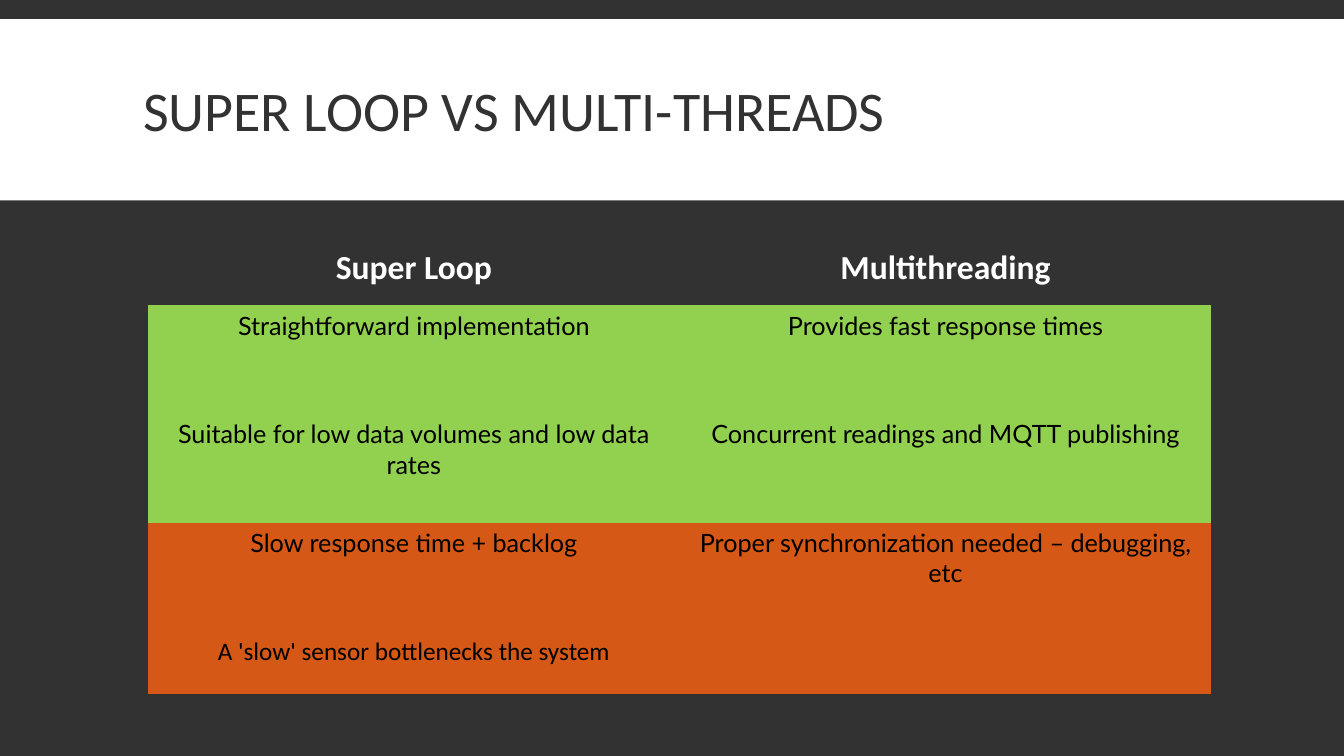
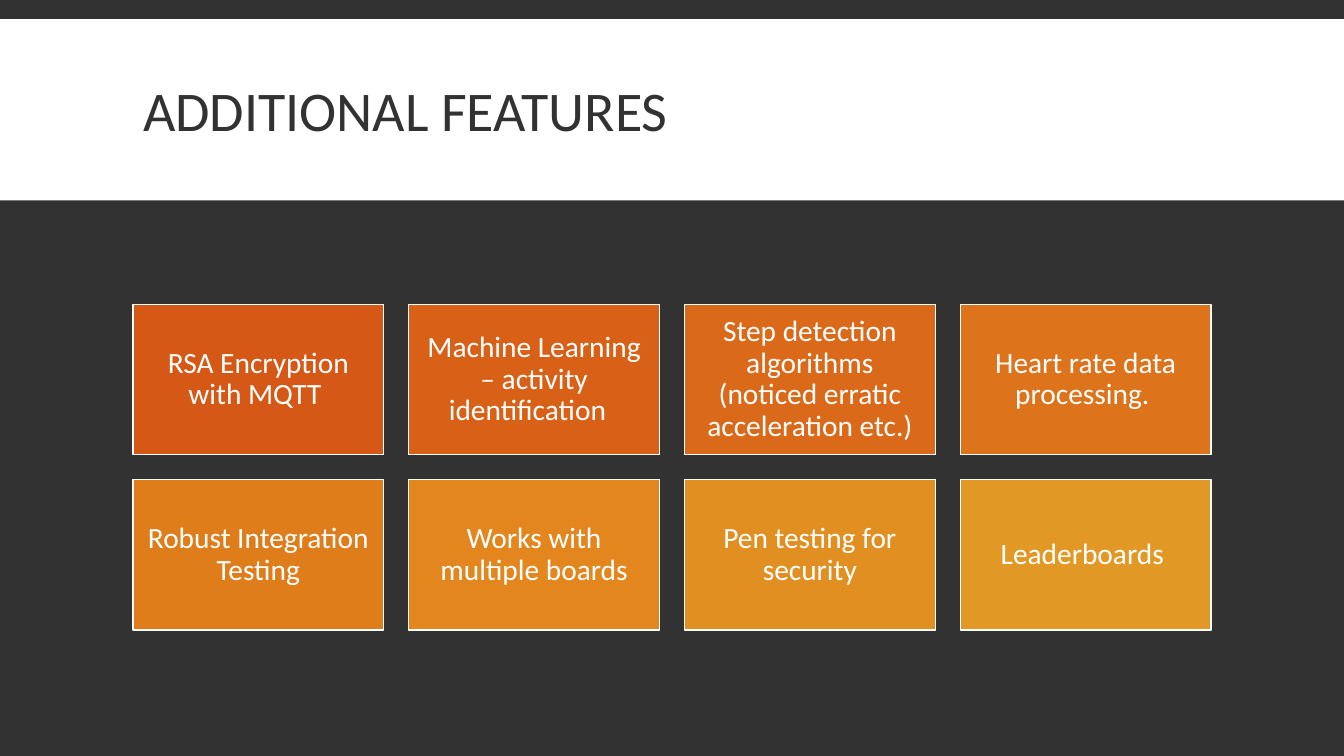
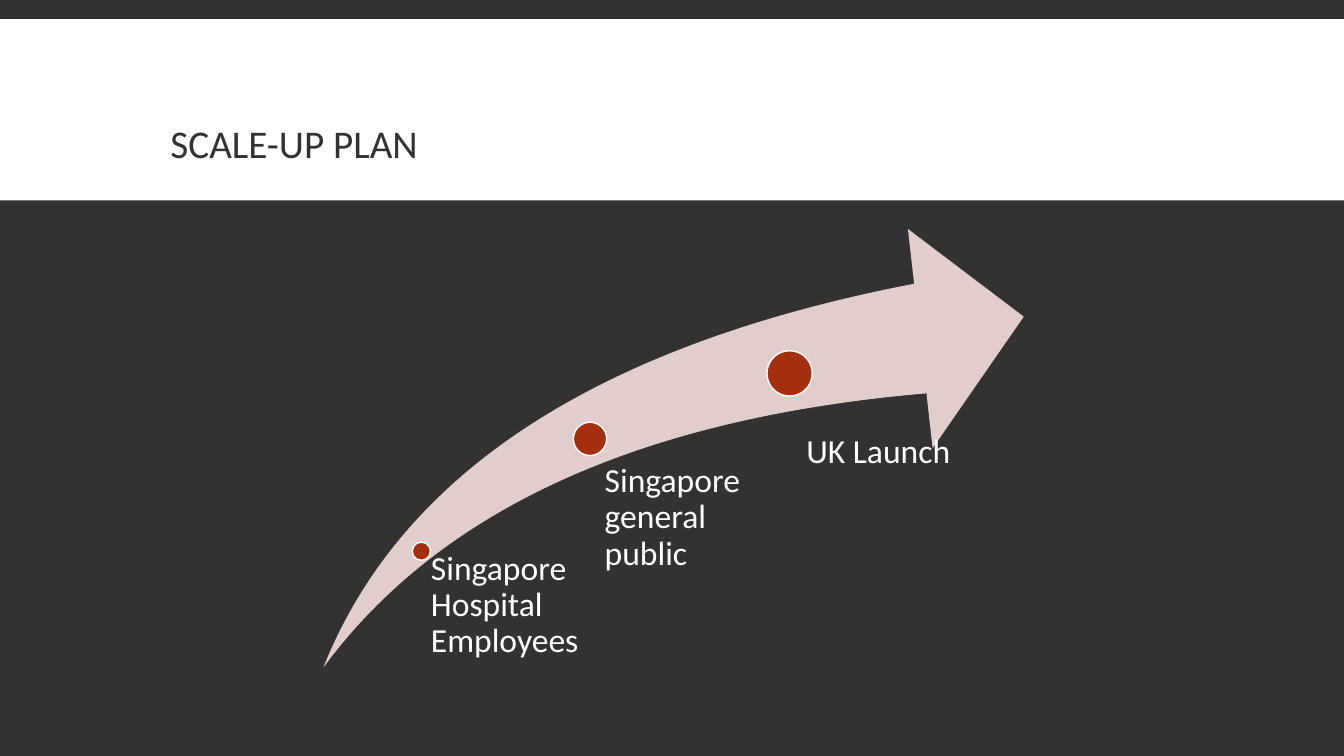
from pptx import Presentation
from pptx.dml.color import RGBColor
from pptx.enum.shapes import MSO_SHAPE
from pptx.enum.text import MSO_ANCHOR, MSO_AUTO_SIZE, PP_ALIGN
from pptx.util import Cm, Pt

RECT = MSO_SHAPE.RECTANGLE
OVAL = MSO_SHAPE.OVAL
SWOOSH = MSO_SHAPE.SWOOSH_ARROW
LEFT = PP_ALIGN.LEFT
MID = PP_ALIGN.CENTER
TOP = MSO_ANCHOR.TOP
CENTER = MSO_ANCHOR.MIDDLE
FIXED = MSO_AUTO_SIZE.NONE

DARK = "323232"
WHITE = "FFFFFF"
BLACK = "000000"
GREEN = "92D050"
RUST = "D55816"
RED = "A5300F"
PINK = "E1CDCC"
PLAIN = "{2D5ABB26-0587-4C30-8999-92F81FD0307C}"


def hue(code):
    return RGBColor.from_string(code)


def place(box):
    return [Cm(part) for part in box]


class Deck:
    face = "Calibri"
    spot = (3.35, 0.79, 27.18, 4.19)

    def __init__(self):
        self.show = Presentation()
        self.show.slide_width = Cm(33.87)
        self.show.slide_height = Cm(19.05)
        self.base = self.show.slide_layouts[5]
        back = self.show.slide_master.background.fill
        back.solid()
        back.fore_color.rgb = hue(DARK)
        self.slide = None

    def start(self, text, size=40, box=spot):
        first = self.slide is None
        self.slide = self.show.slides.add_slide(self.base)
        if first:
            self.band()
        title = self.slide.shapes.title
        title.left, title.top, title.width, title.height = place(box)
        self.fill(title.text_frame, text, size, DARK, space=0.85, anchor=CENTER)

    def band(self):
        strip = self.shape(RECT, (0, 0.48, 33.87, 4.57), WHITE).element
        strip.nvSpPr.cNvPr.id = 99
        self.base.shapes.element.insert(2, strip)

    def style(self, para, size, color, align=LEFT, face=face, bold=False):
        para.alignment = align
        font = para.font
        font.name = face
        font.size = Pt(size)
        font.bold = bold
        font.color.rgb = hue(color)

    def fill(self, frame, text, size, color, align=LEFT, space=0.9, anchor=TOP):
        frame.word_wrap = True
        frame.auto_size = FIXED
        frame.vertical_anchor = anchor
        para = frame.paragraphs[0]
        para.text = text
        para.line_spacing = space
        self.style(para, size, color, align)

    def pad(self, frame, left, rest):
        frame.margin_left = Cm(left)
        frame.margin_top = frame.margin_right = frame.margin_bottom = Cm(rest)

    def shape(self, kind, box, fill, line=None):
        item = self.slide.shapes.add_shape(kind, *place(box))
        item.shadow.inherit = False
        item.fill.solid()
        item.fill.fore_color.rgb = hue(fill)
        if line:
            item.line.color.rgb = hue(line)
            item.line.width = Pt(1)
        else:
            item.line.fill.background()
        return item

    def card(self, box, fill, text):
        frame = self.shape(RECT, box, fill, WHITE).text_frame
        self.pad(frame, 0.23, 0.23)
        self.fill(frame, text, 21, WHITE, MID, anchor=CENTER)

    def dot(self, x, y, size):
        self.shape(OVAL, (x - size / 2, y - size / 2, size, size), RED, WHITE)

    def label(self, box, text, inset):
        frame = self.slide.shapes.add_textbox(*place(box)).text_frame
        self.pad(frame, inset, 0)
        self.fill(frame, text, 24, WHITE)

    def table(self, box, rows):
        wide = len(rows[0][1])
        frame = self.slide.shapes.add_table(len(rows), wide, *place(box))
        frame.element.xpath(".//a:tableStyleId")[0].text = PLAIN
        grid = frame.table
        for r, (high, texts, fill, look) in enumerate(rows):
            grid.rows[r].height = Cm(high)
            for c, text in enumerate(texts):
                cell = grid.cell(r, c)
                cell.fill.solid()
                cell.fill.fore_color.rgb = hue(fill)
                para = cell.text_frame.paragraphs[0]
                para.text = text
                self.style(para, align=MID, **look)


def loops(deck):
    deck.start("SUPER LOOP VS MULTI-THREADS")
    head = {"size": 24, "color": WHITE, "bold": True}
    last = {"size": 18, "color": BLACK}
    body = {**last, "face": "Lato"}
    deck.table((3.73, 6.12, 26.8, 11.36), [
        (1.57, ("Super Loop", "Multithreading"), DARK, head),
        (2.74, ("Straightforward implementation", "Provides fast response times"), GREEN, body),
        (2.74, ("Suitable for low data volumes and low data rates",
                "Concurrent readings and MQTT publishing"), GREEN, body),
        (2.74, ("Slow response time + backlog",
                "Proper synchronization needed – debugging, etc"), RUST, body),
        (1.57, ("A 'slow' sensor bottlenecks the system", ""), RUST, last),
    ])


def extras(deck):
    deck.start("ADDITIONAL FEATURES")
    cards = [
        (RUST, "RSA Encryption with MQTT "),
        ("D86117", "Machine Learning – activity identification  "),
        ("DA6A19", "Step detection algorithms (noticed erratic acceleration etc.)"),
        ("DD731A", "Heart rate data processing. "),
        ("DF7D1B", "Robust Integration Testing"),
        ("E2861D", "Works with multiple boards"),
        ("E28F21", "Pen testing for security"),
        ("E19825", "Leaderboards "),
    ]
    for i, (fill, text) in enumerate(cards):
        row, col = divmod(i, 4)
        deck.card((3.35 + 6.95 * col, 7.67 + 4.42 * row, 6.32, 3.79), fill, text)


def growth(deck):
    deck.start("SCALE-UP PLAN", 28, (4.04, 2.24, 12.01, 2.92))
    swoosh = deck.shape(SWOOSH, (8.15, 5.77, 17.65, 11.05), PINK)
    swoosh.adjustments[0] = swoosh.adjustments[1] = 0.25
    steps = [
        ((10.62, 13.89, 0.46), (10.62, 13.89, 4.11, 3.2), "Singapore Hospital Employees", 0.24),
        ((14.87, 11.06, 0.84), (14.81, 11.68, 4.24, 5.99), "Singapore general public", 0.43),
        ((19.9, 9.41, 1.14), (19.71, 10.95, 4.24, 7.67), "UK Launch", 0.61),
    ]
    for dot, box, text, inset in steps:
        deck.dot(*dot)
        deck.label(box, text, inset)


def main():
    deck = Deck()
    loops(deck)
    extras(deck)
    growth(deck)
    deck.show.save("out.pptx")


if __name__ == "__main__":
    main()
